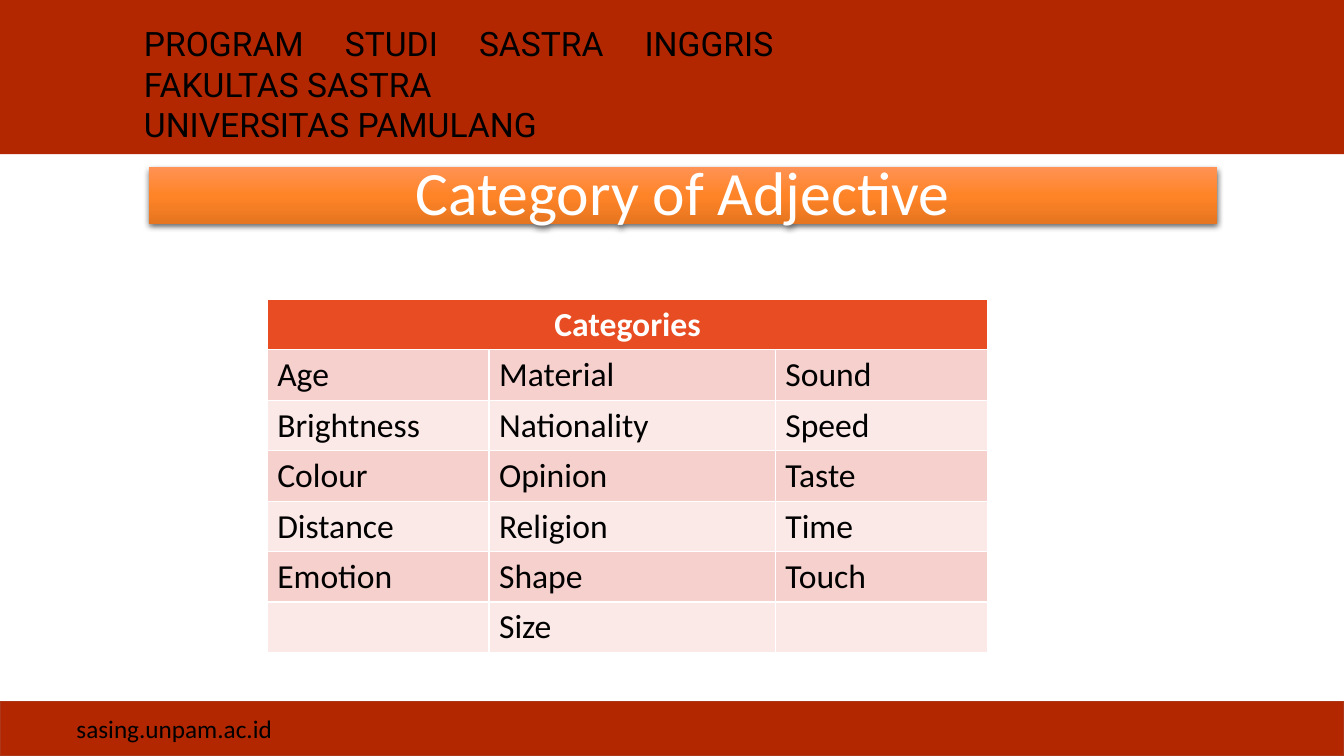
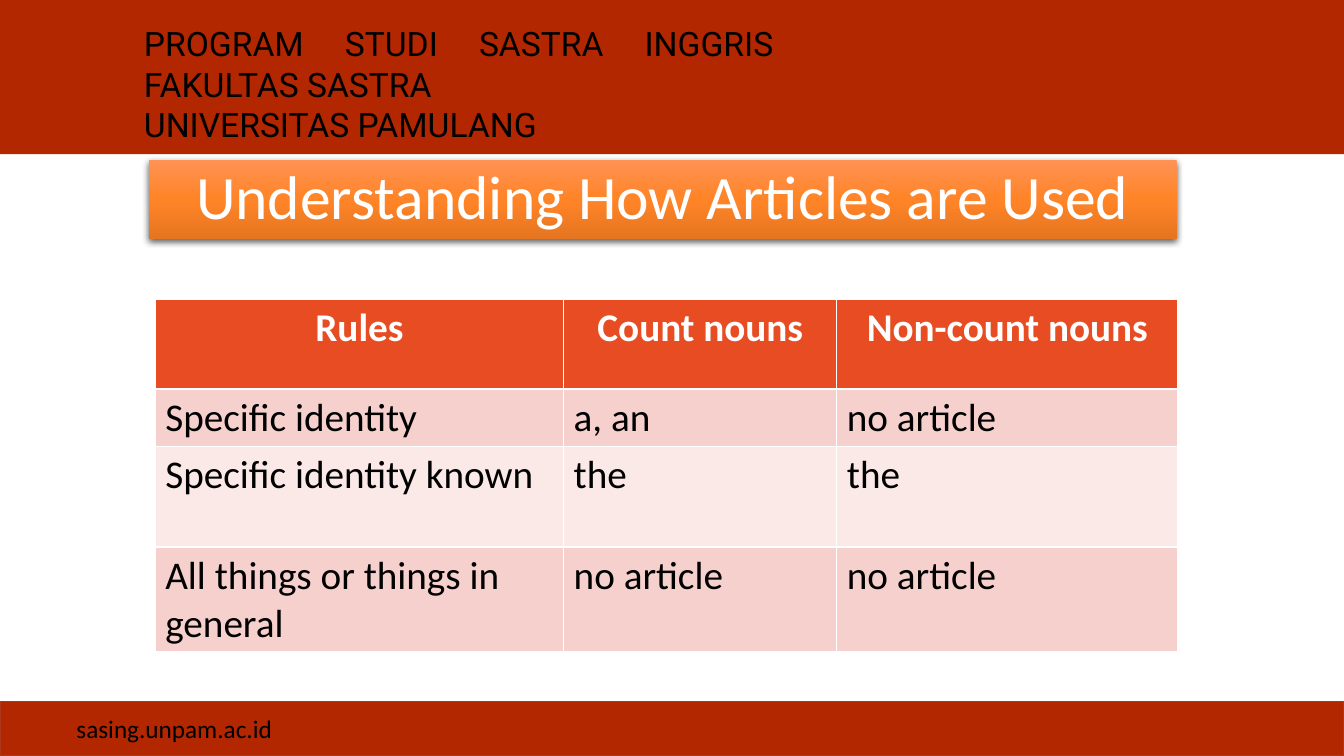
import pptx
import pptx.util
import pptx.dml.color
import pptx.oxml
import pptx.oxml.ns
import pptx.enum.shapes
import pptx.enum.text

Inches, Pt = pptx.util.Inches, pptx.util.Pt
SHAPE = pptx.enum.shapes.MSO_SHAPE
ALIGN = pptx.enum.text.PP_ALIGN
ANCHOR = pptx.enum.text.MSO_ANCHOR
NO_FIT = pptx.enum.text.MSO_AUTO_SIZE.NONE
NS = pptx.oxml.ns.nsdecls("a")

WIDTH, HEIGHT = 13.33, 7.5
BAND, BAND_LINE = "B22600", "AC3819"
HEADER, ROW_FILLS = "E84C22", ("F6D0CD", "FBE9E8")
BLACK, WHITE = "000000", "FFFFFF"
TITLE_STOPS = ((0, "FF9254"), (50, "FF8427"), (100, "E57520"))

PROGRAM_TEXT = {"name": "Roboto", "size": Pt(24)}
SITE_TEXT = {"name": "Calibri", "size": Pt(18)}
TITLE_TEXT = {"name": "Calibri", "size": Pt(44), "bold": False}


def rgb(value):
    return pptx.dml.color.RGBColor.from_string(value)


def set_attrs(obj, values):
    for name, value in values.items():
        setattr(obj, name, value)


def write(tf, lines, font, color, **para):
    for i, line in enumerate(lines):
        p = tf.paragraphs[0] if i == 0 else tf.add_paragraph()
        p.text = line
        set_attrs(p, para)
        for r in p.runs:
            set_attrs(r.font, font)
            r.font.color.rgb = rgb(color)


def place(sp, box):
    for name, value in zip(("left", "top", "width", "height"), box):
        setattr(sp, name, Inches(value))


def add_band(s, kind, box, line=None):
    sp = s.shapes.add_shape(kind, *map(Inches, box))
    sp.shadow.inherit = False
    sp.fill.solid()
    sp.fill.fore_color.rgb = rgb(BAND)
    if line:
        sp.line.color.rgb = rgb(line)
        sp.line.width = Pt(1)
    else:
        sp.line.fill.background()


def add_text(s, box, lines, font, **para):
    tf = s.shapes.add_textbox(*map(Inches, box)).text_frame
    tf.word_wrap = True
    write(tf, lines, font, BLACK, **para)


def add_header(s, box):
    left, top, width, height = box
    add_band(s, SHAPE.RECTANGLE, box)
    add_text(s, (left + 1.33, top + 0.18, 6.44, height - 0.22),
             ["PROGRAM STUDI SASTRA INGGRIS\vFAKULTAS SASTRA", "UNIVERSITAS PAMULANG"],
             PROGRAM_TEXT, alignment=ALIGN.JUSTIFY)


def add_footer(s, box):
    left, top, width, height = box
    add_band(s, SHAPE.FLOWCHART_PROCESS, box, BAND_LINE)
    add_text(s, (left + 0.66, top + 0.07, 2.25, 0.4), ["sasing.unpam.ac.id"], SITE_TEXT)


def add_title(s, box, text):
    sp = s.shapes.title
    place(sp, box)
    stops = "".join(f'<a:gs pos="{pos * 1000}"><a:srgbClr val="{color}"/></a:gs>'
                    for pos, color in TITLE_STOPS)
    gradient = (f'<a:gradFill {NS} rotWithShape="1"><a:gsLst>{stops}</a:gsLst>'
                '<a:lin ang="5400000" scaled="0"/></a:gradFill>')
    shadow = (f'<a:effectLst {NS}><a:outerShdw blurRad="{Pt(4.5)}" dist="{Pt(1.5)}" '
              f'dir="5400000" algn="ctr" rotWithShape="0"><a:srgbClr val="{BLACK}">'
              '<a:alpha val="63000"/></a:srgbClr></a:outerShdw></a:effectLst>')
    for xml in (gradient, shadow):
        sp.element.spPr.append(pptx.oxml.parse_xml(xml))
    tf = sp.text_frame
    set_attrs(tf, {"auto_size": NO_FIT, "word_wrap": True, "vertical_anchor": ANCHOR.MIDDLE})
    write(tf, [text], TITLE_TEXT, WHITE, alignment=ALIGN.CENTER, line_spacing=0.9)


def add_table(s, left, top, widths, heights, rows, size):
    box = (left, top, sum(widths), sum(heights))
    table = s.shapes.add_table(len(rows), len(widths), *map(Inches, box)).table
    for column, width in zip(table.columns, widths):
        column.width = Inches(width)
    for row, height in zip(table.rows, heights):
        row.height = Inches(height)
    if len(rows[0]) == 1:
        table.cell(0, 0).merge(table.cell(0, len(widths) - 1))
    for i, row in enumerate(rows):
        head = i == 0
        font = {"name": "Calibri", "size": Pt(size), "bold": head}
        for j, text in enumerate(row):
            cell = table.cell(i, j)
            cell.fill.solid()
            cell.fill.fore_color.rgb = rgb(HEADER if head else ROW_FILLS[(i - 1) % 2])
            if text:
                write(cell.text_frame, [text], font, WHITE if head else BLACK,
                      alignment=ALIGN.CENTER if head else ALIGN.LEFT)


def add_table_slide(prs, title, title_box, table):
    s = prs.slides.add_slide(prs.slide_layouts[5])
    add_header(s, (0, 0, WIDTH, 1.53))
    add_footer(s, (0, 6.96, WIDTH, 0.54))
    add_title(s, title_box, title)
    add_table(s, **table)


SLIDES = [
    ("Category of Adjective", (1.48, 1.66, 10.59, 0.56), {
        "left": 2.65, "top": 2.97, "size": 24,
        "widths": (2.2, 2.84, 2.11), "heights": (0.5,) * 7,
        "rows": [
            ("Categories",),
            ("Age", "Material", "Sound"),
            ("Brightness", "Nationality", "Speed"),
            ("Colour", "Opinion", "Taste"),
            ("Distance", "Religion", "Time"),
            ("Emotion", "Shape", "Touch"),
            ("", "Size", ""),
        ]}),
    ("Understanding How Articles are Used", (1.48, 1.59, 10.19, 0.78), {
        "left": 1.54, "top": 2.97, "size": 28,
        "widths": (4.05, 2.71, 3.38), "heights": (0.89, 0.56, 1, 1.02),
        "rows": [
            ("Rules", "Count nouns", "Non-count nouns"),
            ("Specific identity", "a, an", "no article"),
            ("Specific identity known", "the", "the"),
            ("All things or things in general", "no article", "no article"),
        ]}),
]


def main():
    prs = pptx.Presentation()
    prs.slide_width, prs.slide_height = Inches(WIDTH), Inches(HEIGHT)
    for title, title_box, table in SLIDES:
        add_table_slide(prs, title, title_box, table)
    prs.save("out.pptx")


if __name__ == "__main__":
    main()
